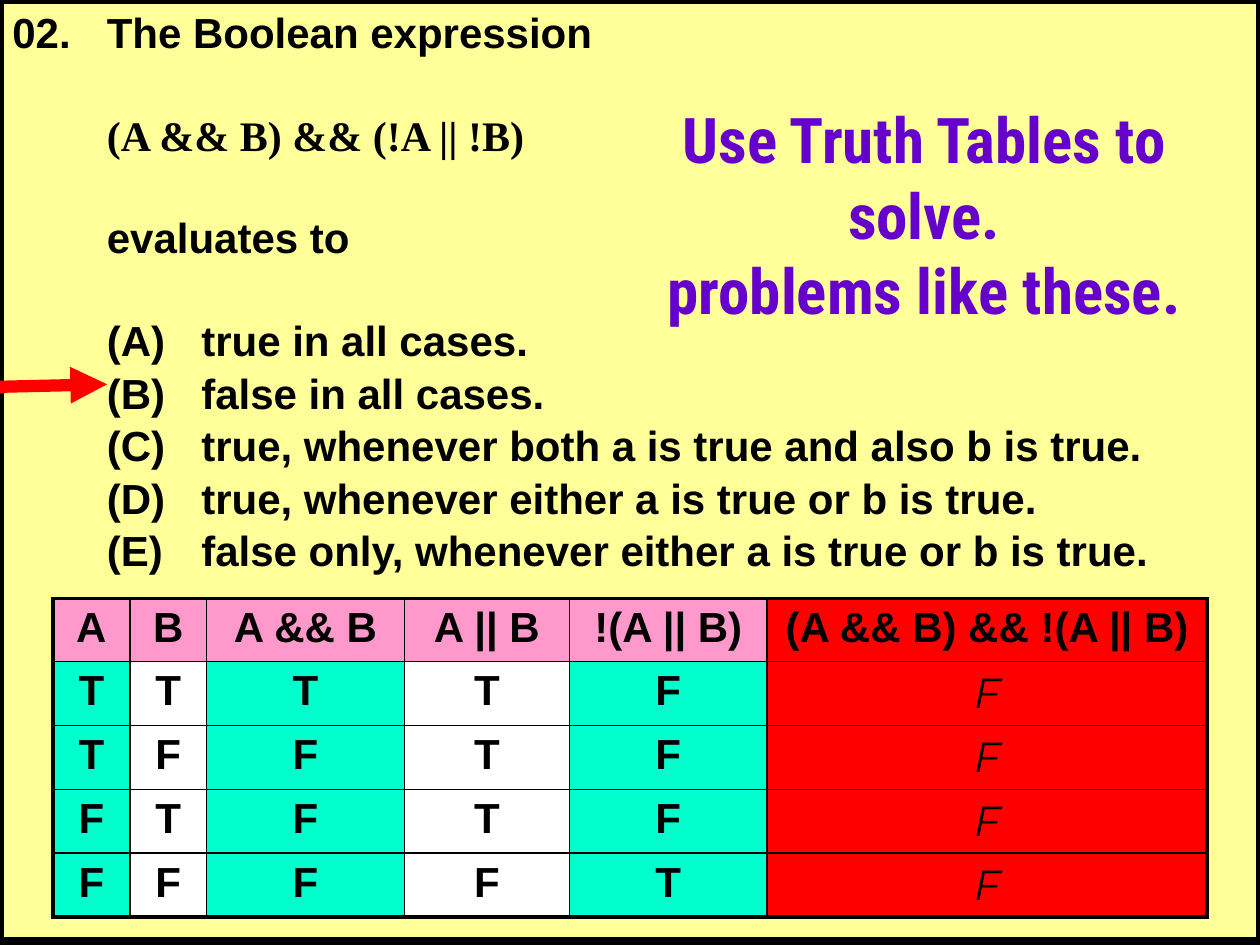
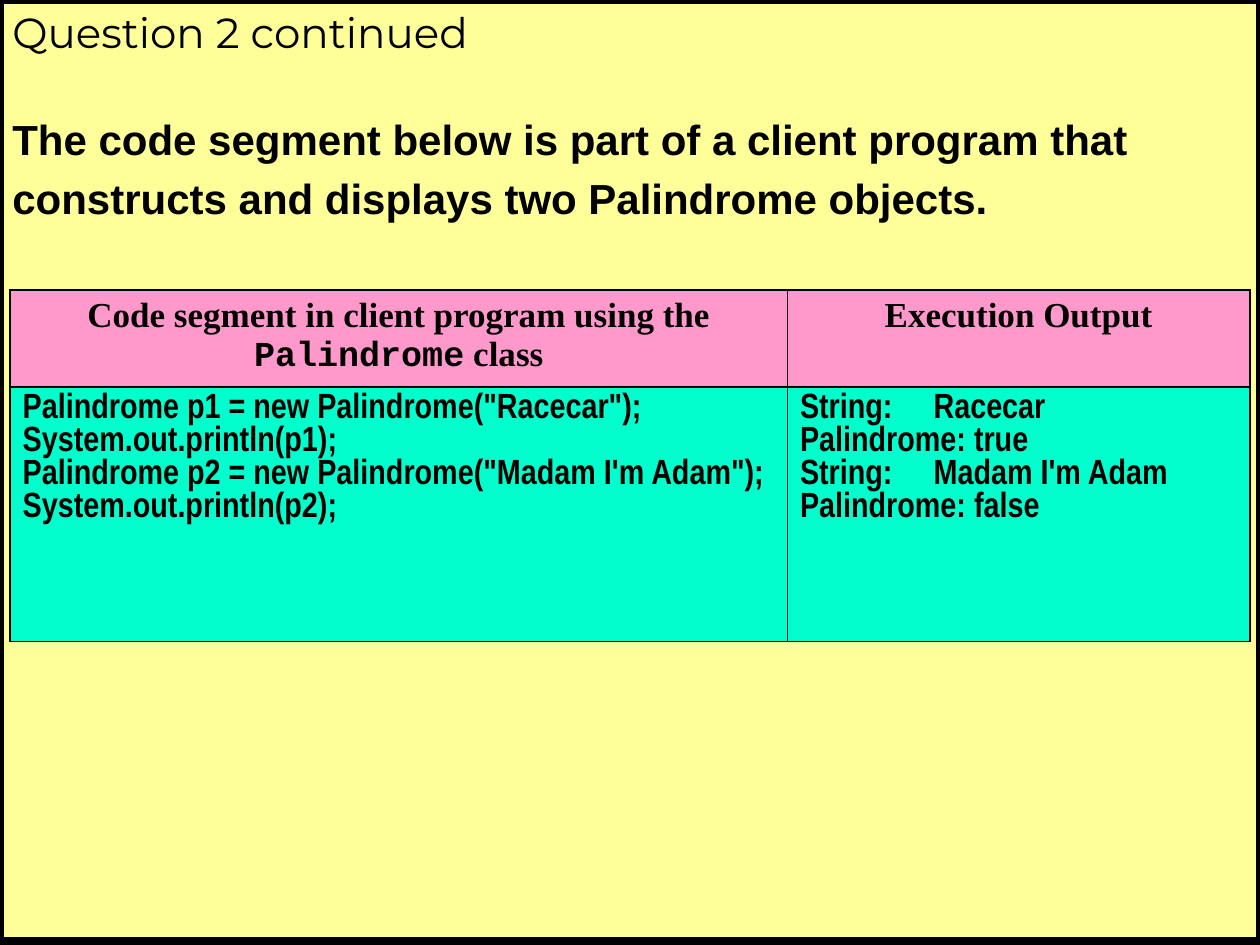
from dataclasses import dataclass

from lxml import etree
from pptx import Presentation
from pptx import util as u
from pptx.dml.color import RGBColor
from pptx.enum import shapes, text
from pptx.oxml import ns

GRID_COLUMNS, GRID_ROWS = 100, 75


@dataclass(frozen=True)
class Theme:
    black: str = "000000"
    white: str = "FFFFFF"
    page: str = "FFFF99"
    header: str = "FF99CC"
    body: str = "00FFCC"
    accent: str = "FF0000"
    callout_start: str = "6600CC"
    callout_end: str = "CC00CC"
    callout_outline: str = "CC99FF"
    sans: str = "Arial"
    narrow: str = "Arial Narrow"
    serif: str = "Times New Roman"
    mono: str = "Courier New"
    light: str = "Montserrat"
    display: str = "Roboto Condensed"
    body_size: int = 24
    code_size: int = 20
    callout_size: int = 36
    frame_line: float = 4.5
    outer_line: float = 2.25
    inner_line: float = 1
    arrow_line: float = 7


THEME = Theme()


def rgb(value):
    return RGBColor.from_string(value)


def add_xml(parent, tag, **attributes):
    return etree.SubElement(parent, ns.qn(tag), attributes)


def write(frame, content, font=THEME.sans, size=THEME.body_size, bold=True,
          italic=False, color=THEME.black, align="LEFT", before=0, spacing=None,
          tabs=()):
    """Add one paragraph; content is a string or a list of (text, font) runs."""
    paragraph = frame.paragraphs[0]
    if paragraph.runs:
        paragraph = frame.add_paragraph()
        paragraph.space_before = u.Pt(before)
    if tabs:
        tab_list = add_xml(paragraph._p.get_or_add_pPr(), "a:tabLst")
        for stop in tabs:
            add_xml(tab_list, "a:tab", pos=str(u.Inches(stop)), algn="l")
    paragraph.alignment = text.PP_ALIGN[align]
    if spacing:
        paragraph.line_spacing = spacing
    for words, face in [(content, font)] if isinstance(content, str) else content:
        run = paragraph.add_run()
        run.text = words
        run.font.name, run.font.size = face, u.Pt(size)
        run.font.bold, run.font.italic = bold, italic
        run.font.color.rgb = rgb(color)
    return paragraph


class Deck:
    def __init__(self, theme):
        self.theme = theme
        self.presentation = Presentation()
        self.presentation.slide_width = u.Inches(10)
        self.presentation.slide_height = u.Inches(7.5)
        self.slide = None

    def x(self, columns):
        return round(self.presentation.slide_width * columns / GRID_COLUMNS)

    def y(self, rows):
        return round(self.presentation.slide_height * rows / GRID_ROWS)

    def area(self, left, top, width, height):
        return self.x(left), self.y(top), self.x(width), self.y(height)

    def page(self):
        """Start a slide and return the text frame of its bordered panel."""
        self.slide = self.presentation.slides.add_slide(
            self.presentation.slide_layouts[6])
        panel = self.slide.shapes.add_shape(
            shapes.MSO_SHAPE.RECTANGLE, *self.area(0, 0, 100, 74.7))
        panel.shadow.inherit = False
        panel.fill.solid()
        panel.fill.fore_color.rgb = rgb(self.theme.page)
        panel.line.color.rgb = rgb(self.theme.black)
        panel.line.width = u.Pt(self.theme.frame_line)
        panel.text_frame.word_wrap = True
        panel.text_frame.vertical_anchor = text.MSO_ANCHOR.TOP
        return panel.text_frame

    def callout(self, area, lines):
        frame = self.slide.shapes.add_textbox(*self.area(*area)).text_frame
        frame.word_wrap = False
        for line in lines:
            paragraph = write(frame, line, font=self.theme.display,
                              size=self.theme.callout_size, align="CENTER")
            font = paragraph.runs[0].font
            font.fill.gradient()
            font.fill.gradient_angle = 270
            ends = self.theme.callout_start, self.theme.callout_end
            for stop, color in zip(font.fill.gradient_stops, ends):
                stop.color.rgb = rgb(color)
            properties = paragraph.runs[0]._r.get_or_add_rPr()
            outline = add_xml(properties, "a:ln", w=str(u.Pt(0.75)))
            fill = add_xml(outline, "a:solidFill")
            add_xml(fill, "a:srgbClr", val=self.theme.callout_outline)
            properties.insert(0, outline)

    def arrow(self, start, end):
        line = self.slide.shapes.add_connector(
            shapes.MSO_CONNECTOR.STRAIGHT, self.x(start[0]), self.y(start[1]),
            self.x(end[0]), self.y(end[1]))
        line.line.color.rgb = rgb(self.theme.accent)
        line.line.width = u.Pt(self.theme.arrow_line)
        add_xml(line.line._get_or_add_ln(), "a:tailEnd", type="triangle")
        add_xml(line._element.spPr, "a:effectLst")

    def border(self, cell, widths):
        properties = cell._tc.get_or_add_tcPr()
        for index, (side, width) in enumerate(widths.items()):
            line = etree.Element(ns.qn(f"a:ln{side}"), w=str(u.Pt(width)))
            add_xml(add_xml(line, "a:solidFill"), "a:srgbClr", val=self.theme.black)
            properties.insert(index, line)

    def table(self, left, top, widths, heights, rows, look, outer):
        """look(row, column) gives the fill and the text format of a cell."""
        table = self.slide.shapes.add_table(
            len(heights), len(widths),
            *self.area(left, top, sum(widths), sum(heights))).table
        table.first_row = table.horz_banding = False
        for column, width in zip(table.columns, widths):
            column.width = self.x(width)
        for row, height in zip(table.rows, heights):
            row.height = self.y(height)
        inner = self.theme.inner_line
        for r, row in enumerate(rows):
            for c, content in enumerate(row):
                cell = table.cell(r, c)
                color, style = look(r, c)
                cell.fill.solid()
                cell.fill.fore_color.rgb = rgb(color)
                lines = content.split("\n") if isinstance(content, str) else [content]
                for line in lines:
                    write(cell.text_frame, line, **style)
                self.border(cell, {
                    "L": outer if c == 0 else inner,
                    "R": outer if c == len(widths) - 1 else inner,
                    "T": outer if r == 0 else inner,
                    "B": outer if r == len(heights) - 1 else inner})


def truth_look(row, column):
    style = {"align": "CENTER"}
    if column == 5:
        if row:
            style.update(font=THEME.light, bold=False, italic=True)
        return THEME.accent, style
    if row == 0:
        return THEME.header, style
    return (THEME.white if column % 2 else THEME.body), style


def code_look(row, column):
    if row == 0:
        return THEME.header, {"font": THEME.serif, "size": THEME.code_size,
                              "align": "CENTER"}
    return THEME.body, {"font": THEME.narrow, "size": THEME.code_size,
                        "tabs": [1.06] if column else ()}


def question_slide(deck):
    # Question and answers
    frame = deck.page()
    tabs = {"tabs": (0.75, 1.5)}
    write(frame, "02.\tThe Boolean expression", **tabs)
    write(frame, [("\t", THEME.sans), ("(A && B) && (!A || !B)", THEME.serif)],
          before=30, **tabs)
    write(frame, "\tevaluates to", before=30, **tabs)
    answers = ["true in all cases.",
               "false in all cases.",
               "true, whenever both a is true and also b is true.",
               "true, whenever either a is true or b is true.",
               "false only, whenever either a is true or b is true."]
    for letter, answer in zip("ABCDE", answers):
        write(frame, f"\t({letter})\t{answer}", before=30 if letter == "A" else 1.2,
              **tabs)

    # Truth table
    rows = [["A", "B", "A && B", "A || B", "!(A || B)", "(A && B) && !(A || B)"],
            *map(list, ("TTTTFF", "TFFTFF", "FTFTFF", "FFFFTF"))]
    deck.table(4.2, 47.5, [6.1, 6.1, 15.7, 13.1, 15.7, 34.9], [5] * 5, rows,
               truth_look, THEME.outer_line)

    # Hint and answer marker
    deck.callout((50, 7.5, 46.7, 15.8),
                 ["Use Truth Tables to solve.", "problems like these."])
    deck.arrow((0, 30.7), (8.5, 30.5))


def code_slide(deck):
    # Introduction
    frame = deck.page()
    write(frame, "Question 2 continued", font=THEME.light, bold=False)
    write(frame, "The code segment below is part of a client program that "
          "constructs and displays two Palindrome objects.",
          before=28, spacing=1.16)

    # Code and its output
    heading = [("Code segment in client program using the ", THEME.serif),
               ("Palindrome", THEME.mono), (" class", THEME.serif)]
    code = ('Palindrome p1 = new Palindrome("Racecar");\n'
            "System.out.println(p1);\n"
            'Palindrome p2 = new Palindrome("Madam I\'m Adam");\n'
            "System.out.println(p2);")
    output = ("String:\tRacecar\nPalindrome: true\n"
              "String:\tMadam I'm Adam\nPalindrome: false")
    deck.table(0.8, 23, [61.7, 36.7], [7.7, 20.2],
               [[heading, "Execution Output"], [code, output]],
               code_look, THEME.inner_line)


def main():
    deck = Deck(THEME)
    question_slide(deck)
    code_slide(deck)
    deck.presentation.save("out.pptx")


if __name__ == "__main__":
    main()
